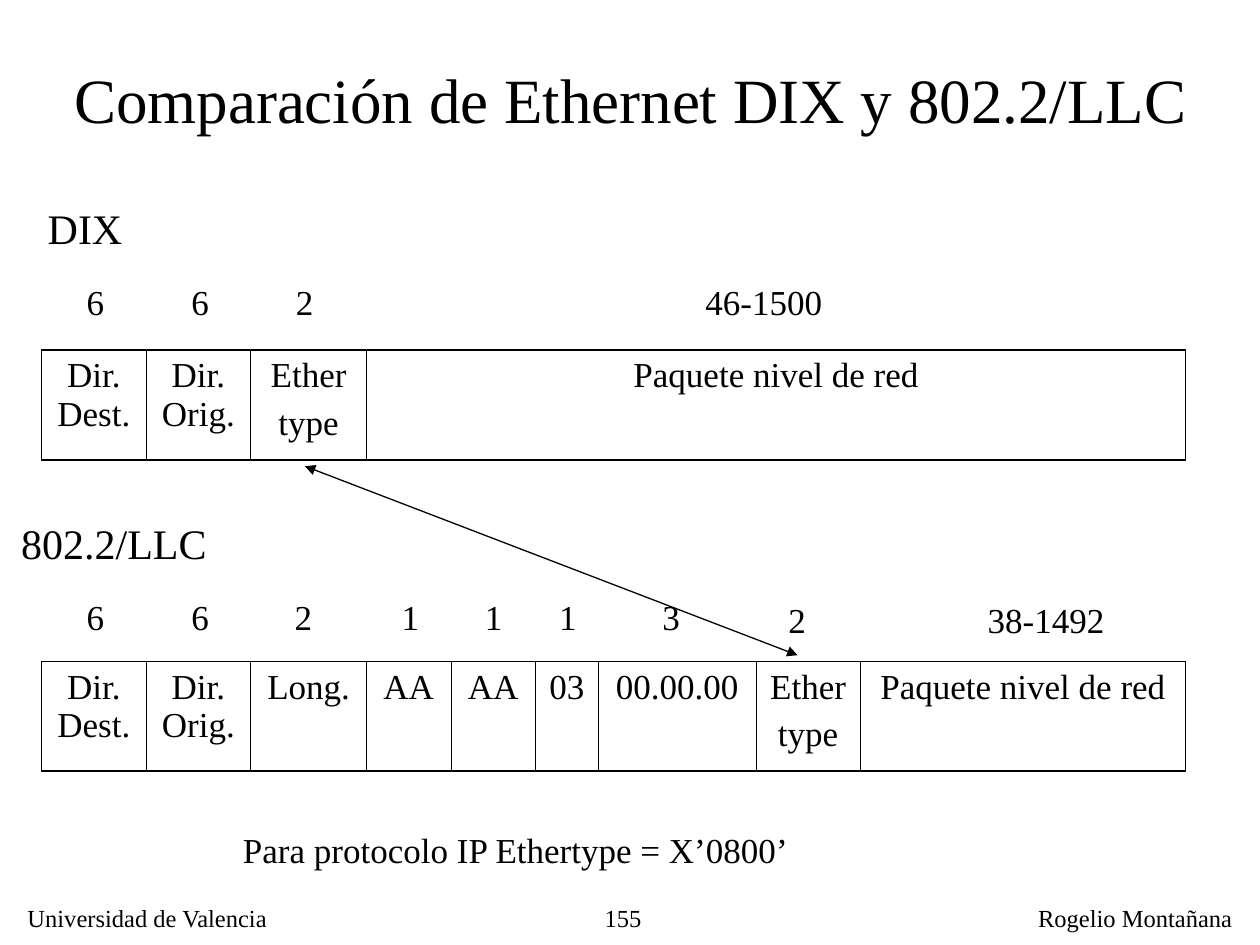
from lxml import etree
from pptx import Presentation
from pptx import util as u
from pptx.dml import color
from pptx.enum import shapes, text
from pptx.oxml import ns

BLACK = "000000"
FONT = "Times New Roman"


def format_text(text_frame, size, alignment, space_before=0):
    for index, paragraph in enumerate(text_frame.paragraphs):
        paragraph.alignment = alignment
        paragraph.space_before = u.Pt(space_before if index else 0)
        for run in paragraph.runs:
            run.font.name = FONT
            run.font.size = u.Pt(size)
            run.font.color.rgb = color.RGBColor.from_string(BLACK)


def add_border(cell, side, width):
    line = etree.SubElement(cell._tc.get_or_add_tcPr(), ns.qn("a:ln" + side), w=str(u.Pt(width)))
    fill = etree.SubElement(line, ns.qn("a:solidFill"))
    etree.SubElement(fill, ns.qn("a:srgbClr"), val=BLACK)


presentation = Presentation()
presentation.slide_width = u.Inches(10)
presentation.slide_height = u.Inches(7.5)
slide = presentation.slides.add_slide(presentation.slide_layouts[5])

title = slide.shapes.title
title.left, title.top = u.Inches(0.42), u.Inches(0.28)
title.width, title.height = u.Inches(9.17), u.Inches(1)
title.text_frame.text = "Comparación de Ethernet DIX y 802.2/LLC"
title.text_frame.vertical_anchor = text.MSO_ANCHOR.MIDDLE
format_text(title.text_frame, 36, text.PP_ALIGN.CENTER)

labels = [
    (0.12, 7.12, 2.13, 14, "Universidad de Valencia"),
    (4.13, 7.12, 1.06, 14, "155"),
    (8.14, 7.12, 1.74, 14, "Rogelio Montañana"),
    (0.28, 1.56, 0.79, 24, "DIX"),
    (0.07, 4.06, 1.67, 24, "802.2/LLC"),
    (5.5, 2.18, 1.13, 20, "46-1500"),
    (6.16, 4.7, 0.34, 20, "2"),
    (7.74, 4.7, 1.13, 20, "38-1492"),
    (1.83, 6.53, 7.33, 20, "Para protocolo IP Ethertype = X’0800’"),
]
dix_sizes = [(0.59, "6"), (1.42, "6"), (2.25, "2")]
llc_sizes = [(0.59, "6"), (1.42, "6"), (2.24, "2"), (3.09, "1"), (3.75, "1"), (4.34, "1"), (5.16, "3")]
for top, sizes in [(2.18, dix_sizes), (4.68, llc_sizes)]:
    labels += [(left, top, 0.34, 20, size) for left, size in sizes]

label_heights = {14: 0.34, 20: 0.44, 24: 0.5}
for left, top, width, font_size, label in labels:
    box = slide.shapes.add_textbox(
        u.Inches(left), u.Inches(top), u.Inches(width), u.Inches(label_heights[font_size])
    )
    box.text_frame.text = label
    box.text_frame.word_wrap = label.startswith("Para") or label == "155"
    alignment = text.PP_ALIGN.RIGHT if label == "155" else text.PP_ALIGN.LEFT
    format_text(box.text_frame, font_size, alignment)

addresses = [(0.83, "Dir. Dest."), (0.83, "Dir. Orig.")]
dix_fields = addresses + [(0.92, "Ether\ntype"), (6.5, "Paquete nivel de red")]
llc_fields = addresses + [
    (0.92, "Long."),
    (0.67, "AA"),
    (0.67, "AA"),
    (0.5, "03"),
    (1.25, "00.00.00"),
    (0.83, "Ether\ntype"),
    (2.58, "Paquete nivel de red"),
]
for top, fields in [(2.78, dix_fields), (5.25, llc_fields)]:
    table = slide.shapes.add_table(
        1, len(fields), u.Inches(0.33), u.Inches(top), u.Inches(9.08), u.Inches(0.87)
    ).table
    table.first_row = False
    table.horz_banding = False
    last = len(fields) - 1
    for index, (width, field) in enumerate(fields):
        table.columns[index].width = u.Inches(width)
        cell = table.cell(0, index)
        cell.text_frame.text = field
        format_text(cell.text_frame, 20, text.PP_ALIGN.CENTER, 5)
        add_border(cell, "L", 1.08 if index == 0 else 0.45)
        add_border(cell, "R", 1.08 if index == last else 0.45)
        add_border(cell, "T", 1.08)
        add_border(cell, "B", 1.08)
        cell.fill.background()

arrow = slide.shapes.add_connector(
    shapes.MSO_CONNECTOR.STRAIGHT, u.Inches(2.42), u.Inches(3.7), u.Inches(6.33), u.Inches(5.2)
)
arrow.line.color.rgb = color.RGBColor.from_string(BLACK)
arrow.line.width = u.Pt(0.75)
for end in ("a:headEnd", "a:tailEnd"):
    etree.SubElement(arrow.line._get_or_add_ln(), ns.qn(end), type="triangle")
etree.SubElement(arrow._element.spPr, ns.qn("a:effectLst"))

presentation.save("out.pptx")
